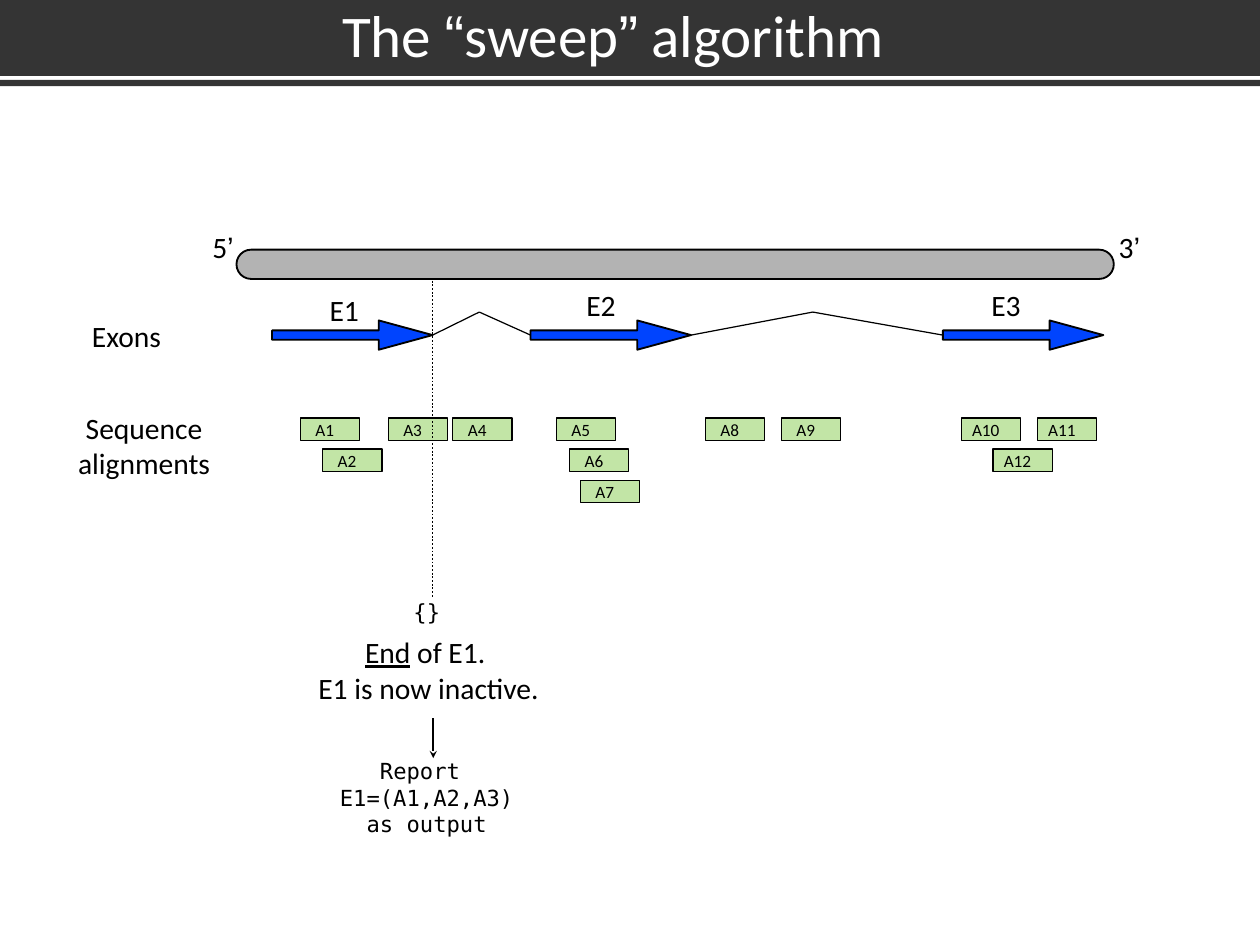
from dataclasses import dataclass
from itertools import groupby

from lxml import etree
from pptx import Presentation
from pptx.dml.color import RGBColor
from pptx.enum.dml import MSO_LINE
from pptx.enum.shapes import MSO_CONNECTOR, MSO_SHAPE
from pptx.enum.text import MSO_ANCHOR, MSO_AUTO_SIZE, PP_ALIGN
from pptx.oxml.ns import qn
from pptx.util import Cm, Pt

RECTANGLE = MSO_SHAPE.RECTANGLE
ROUNDED = MSO_SHAPE.ROUNDED_RECTANGLE
RIGHT_ARROW = MSO_SHAPE.RIGHT_ARROW
STRAIGHT = MSO_CONNECTOR.STRAIGHT
DOTTED = MSO_LINE.ROUND_DOT
MIDDLE = MSO_ANCHOR.MIDDLE
CENTER = PP_ALIGN.CENTER
FIXED_SIZE = MSO_AUTO_SIZE.NONE

BLACK, WHITE, BANNER = "000000", "FFFFFF", "343434"
CHROMOSOME_GREY, EXON_BLUE, ALIGNMENT_GREEN = "B3B3B3", "0044FE", "C2E5A6"
SANS, QUOTE_FONT, MONO = "Calibri", "Arial", "DejaVu Sans Mono"
QUOTES = "“”’"
SLIDE_WIDTH, SLIDE_HEIGHT = 36.12, 27.1
EXON_TOP, EXON_WIDTH, EXON_HEIGHT = 9.19, 4.6, 0.84
INTRON_BASE, INTRON_PEAK = 9.61, 8.95
ALIGNMENT_TOP, ALIGNMENT_STEP = 11.99, 0.89
LABEL_HEIGHT = 1.27
RIGHT_INSET = 0.3


@dataclass(frozen=True)
class Box:
    left: float
    top: float
    width: float
    height: float

    def lengths(self):
        return Cm(self.left), Cm(self.top), Cm(self.width), Cm(self.height)


@dataclass(frozen=True)
class Label:
    text: str
    box: Box
    size: int = 24
    font: str = SANS
    underlined: str = ""
    wrap: bool = False


@dataclass(frozen=True)
class Exon:
    name: str
    left: float
    label_left: float
    label_top: float


@dataclass(frozen=True)
class Alignment:
    name: str
    left: float
    row: int = 0


EXONS = [
    Exon("E1", 7.8, 9.45, 8.26),
    Exon("E2", 15.21, 16.81, 8.1),
    Exon("E3", 27.03, 28.42, 8.1),
]
INTRON_PEAKS = [13.74, 23.3]
ALIGNMENTS = [
    Alignment("A1", 8.61),
    Alignment("A2", 9.25, 1),
    Alignment("A3", 11.13),
    Alignment("A4", 12.98),
    Alignment("A5", 15.95),
    Alignment("A6", 16.33, 1),
    Alignment("A7", 16.64, 2),
    Alignment("A8", 20.22),
    Alignment("A9", 22.4),
    Alignment("A10", 27.56),
    Alignment("A11", 29.74),
    Alignment("A12", 28.47, 1),
]
LABELS = [
    Label("5’", Box(6.1, 6.43, 0.89, LABEL_HEIGHT)),
    Label("3’", Box(32.08, 6.43, 0.89, LABEL_HEIGHT)),
    Label("Exons", Box(2.62, 8.99, 2.31, LABEL_HEIGHT)),
    Label("Sequence alignments", Box(1.83, 11.63, 4.6, 2.26), wrap=True),
    Label("{}", Box(11.84, 16.99, 1.09, 1.09), 18, MONO),
    Label("End of E1. \nE1 is now inactive.", Box(9.22, 18.08, 6.43, 2.26),
          underlined="End"),
    Label("Report \nE1=(A1,A2,A3)\nas output", Box(9.75, 21.72, 5.26, 2.29), 18, MONO),
]


def color(value: str) -> RGBColor:
    return RGBColor.from_string(value)


def write(frame, text: str, size: int, font: str = SANS,
          ink: str = BLACK, underlined: str = "") -> None:
    frame.auto_size = FIXED_SIZE
    frame.vertical_anchor = MIDDLE
    frame.text = text
    for paragraph in frame.paragraphs:
        paragraph.alignment = CENTER
        line = paragraph.text
        lead = underlined if underlined and line.startswith(underlined) else ""
        pieces = [lead] if lead else []
        pieces += ["".join(group) for _, group in
                   groupby(line[len(lead):], lambda letter: letter in QUOTES)]
        paragraph.text = pieces[0]
        for piece in pieces[1:]:
            paragraph.add_run().text = piece
        for run in paragraph.runs:
            run.font.name = QUOTE_FONT if run.text in QUOTES else font
            run.font.size = Pt(size)
            run.font.color.rgb = color(ink)
            if run.text == lead:
                run.font.underline = True


def set_insets(frame, side: float, right: float) -> None:
    frame.margin_left = frame.margin_top = frame.margin_bottom = Cm(side)
    frame.margin_right = Cm(right)


def add_label(slide, label: Label) -> None:
    frame = slide.shapes.add_textbox(*label.box.lengths()).text_frame
    set_insets(frame, 0, 0 if label.wrap else RIGHT_INSET)
    write(frame, label.text, label.size, label.font, underlined=label.underlined)
    frame.word_wrap = label.wrap


def add_block(slide, kind, box: Box, fill: str, outline: float = 0,
              adjustments: tuple = ()):
    block = slide.shapes.add_shape(kind, *box.lengths())
    block.shadow.inherit = False
    block.fill.solid()
    block.fill.fore_color.rgb = color(fill)
    if outline:
        block.line.color.rgb = color(BLACK)
        block.line.width = Pt(outline)
    else:
        block.line.fill.background()
    for index, value in enumerate(adjustments):
        block.adjustments[index] = value
    return block


def add_line(slide, start: tuple, end: tuple, width: float = 1):
    line = slide.shapes.add_connector(STRAIGHT, *map(Cm, start + end))
    line.line.color.rgb = color(BLACK)
    line.line.width = Pt(width)
    etree.SubElement(line.element.spPr, qn("a:effectLst"))
    return line


def add_banner(slide) -> None:
    for top, height in ((0, 2.18), (2.29, 0.18)):
        add_block(slide, RECTANGLE, Box(0, top, SLIDE_WIDTH, height), BANNER)
    title = slide.shapes.title
    title.left, title.top, title.width, title.height = Box(3.53, -0.25, 28.09, 2.44).lengths()
    set_insets(title.text_frame, 0.15, 0.15)
    write(title.text_frame, "The “sweep” algorithm", 48, ink=WHITE)
    title.element.getparent().append(title.element)


def add_gene(slide) -> None:
    add_block(slide, ROUNDED, Box(6.78, 7.16, 25.15, 0.84), CHROMOSOME_GREY, 1.5, (0.5,))
    for exon in EXONS:
        add_block(slide, RIGHT_ARROW, Box(exon.left, EXON_TOP, EXON_WIDTH, EXON_HEIGHT),
                  EXON_BLUE, 1.5, (0.32, 1.833))
        add_label(slide, Label(exon.name, Box(exon.label_left, exon.label_top,
                                              1.14, LABEL_HEIGHT)))
    for before, after, peak in zip(EXONS, EXONS[1:], INTRON_PEAKS):
        summit = (peak, INTRON_PEAK)
        add_line(slide, (before.left + EXON_WIDTH, INTRON_BASE), summit)
        add_line(slide, summit, (after.left, INTRON_BASE))


def add_alignments(slide) -> None:
    for alignment in ALIGNMENTS:
        top = ALIGNMENT_TOP + alignment.row * ALIGNMENT_STEP
        block = add_block(slide, RECTANGLE, Box(alignment.left, top, 1.7, 0.64),
                          ALIGNMENT_GREEN, 1)
        set_insets(block.text_frame, 0, RIGHT_INSET)
        write(block.text_frame, alignment.name, 14)
        block.text_frame.word_wrap = False


def add_sweep(slide) -> None:
    sweep = add_line(slide, (12.4, 8.05), (12.4, 17.12), 1.5)
    sweep.line.dash_style = DOTTED
    report_arrow = add_line(slide, (12.42, 20.6), (12.42, 21.74), 1.5)
    etree.SubElement(report_arrow.line._get_or_add_ln(), qn("a:tailEnd"), type="stealth")


def main() -> None:
    deck = Presentation()
    deck.slide_width, deck.slide_height = Cm(SLIDE_WIDTH), Cm(SLIDE_HEIGHT)
    slide = deck.slides.add_slide(deck.slide_layouts[5])
    add_banner(slide)
    add_gene(slide)
    add_alignments(slide)
    for label in LABELS:
        add_label(slide, label)
    add_sweep(slide)
    deck.save("out.pptx")


if __name__ == "__main__":
    main()
